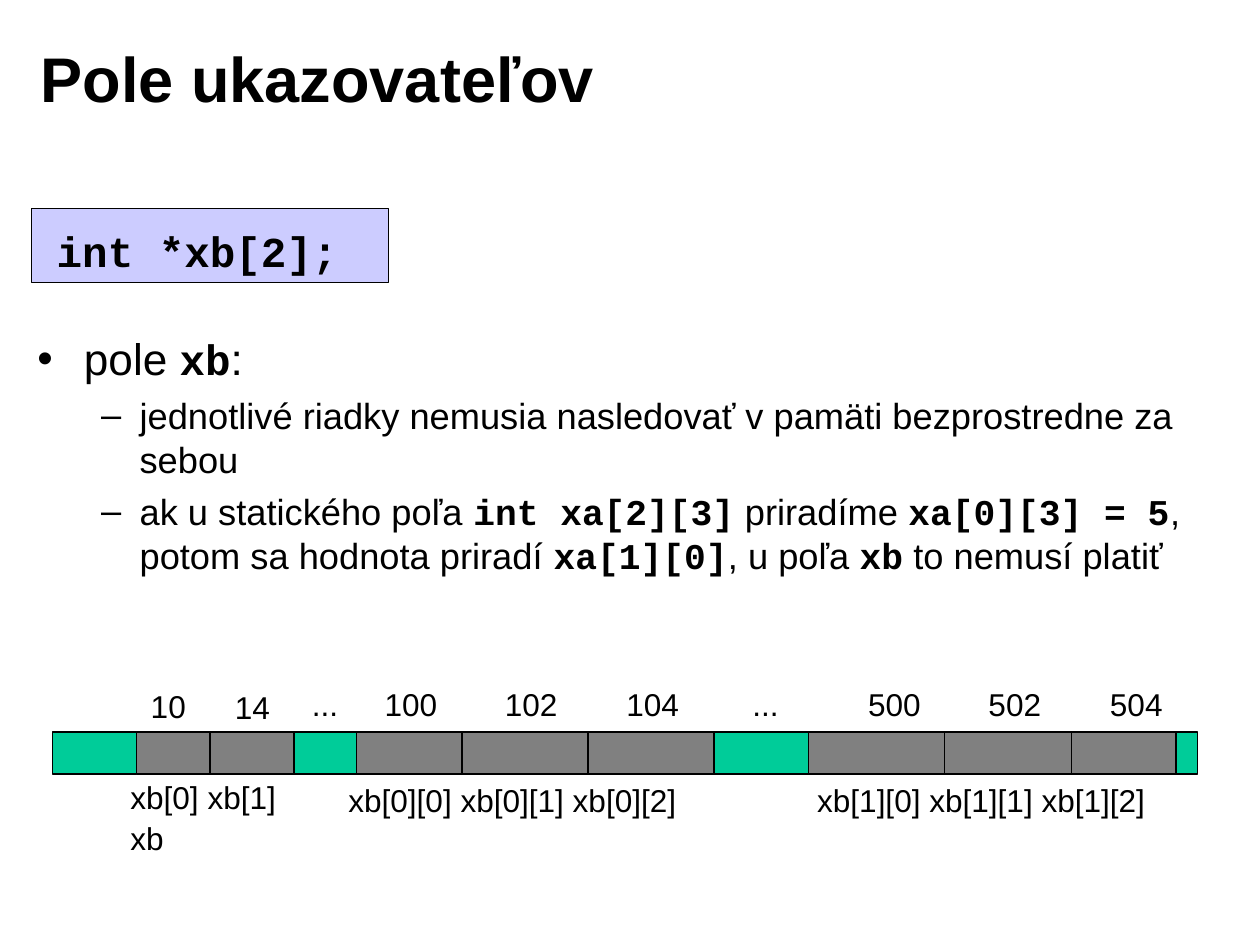
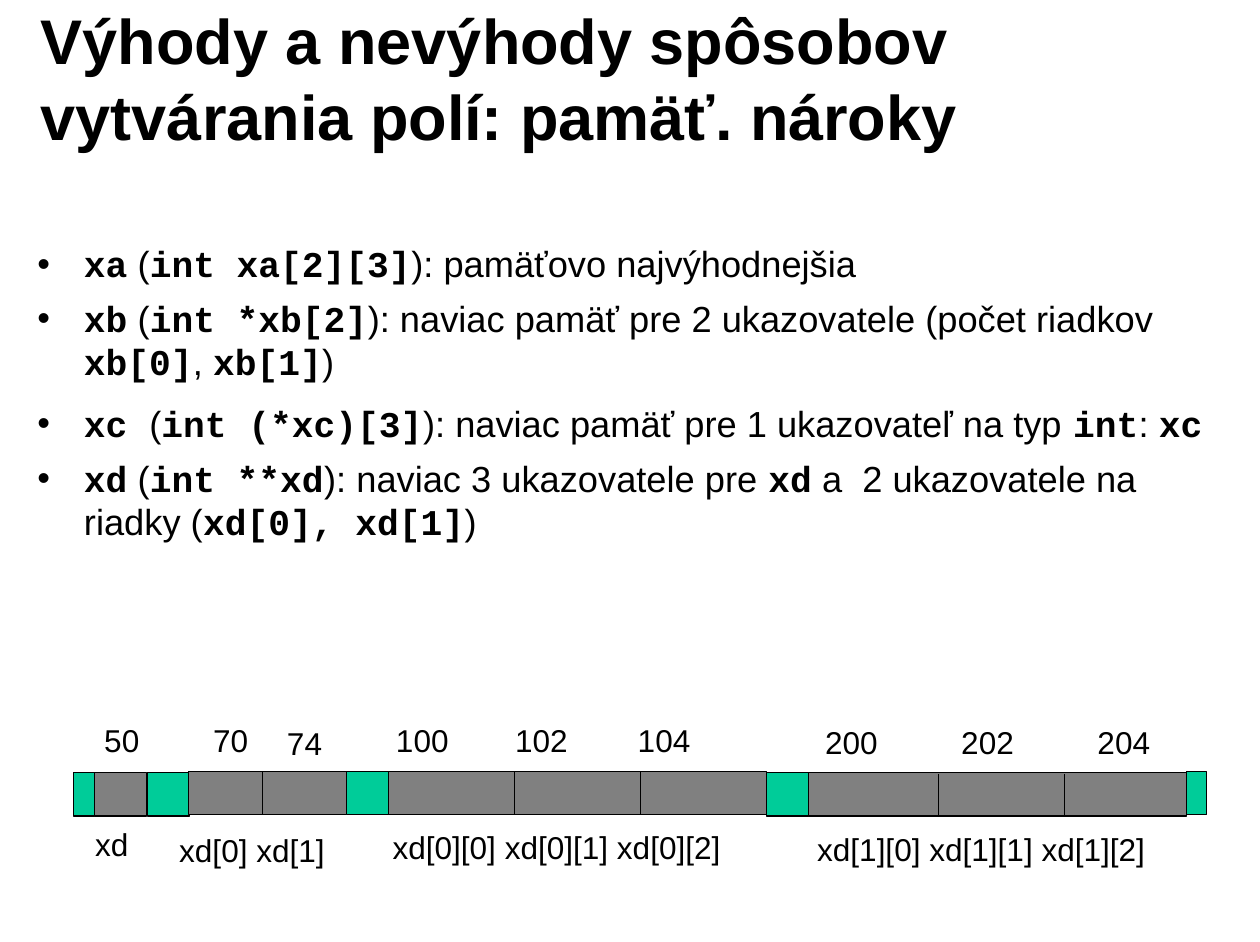
from lxml import etree
from pptx import Presentation
from pptx.dml.color import RGBColor
from pptx.enum.shapes import MSO_CONNECTOR, MSO_SHAPE
from pptx.enum.text import MSO_ANCHOR, MSO_AUTO_SIZE, PP_ALIGN
from pptx.oxml.ns import qn
from pptx.util import Inches, Pt

BLACK = RGBColor(0x00, 0x00, 0x00)
USED = RGBColor(0x80, 0x80, 0x80)
OTHER = RGBColor(0x00, 0xCC, 0x99)
CODE_FILL = RGBColor(0xCC, 0xCC, 0xFF)
TEXT_FONT, CODE_FONT = "Arial", "Courier New"
INDENTS = [(0.41, -0.41), (0.9, -0.34)]

# Backticks enclose code.
# Bullets: level, text size, code size, space before, text.
# Blocks of memory: left, top, width, fill. Dividers: x, top. Labels: by top.
SLIDES = [
    {
        "title": "Pole ukazovateľov",
        "code": "`int *xb[2];`",
        "body_top": 2.86,
        "body_height": 2.49,
        "bullets": [
            (0, 28, 27, 7, "pole `xb`:"),
            (1, 23, 23, 5.8,
             "jednotlivé riadky nemusia nasledovať v pamäti bezprostredne za sebou"),
            (1, 23, 23, 5.8,
             "ak u statického poľa `int xa[2][3]` priradíme `xa[0][3] = 5`, "
             "potom sa hodnota priradí `xa[1][0]`, u poľa `xb` to nemusí platiť"),
        ],
        "memory_height": 0.37,
        "blocks": [
            (1.2, 6.45, 9.25, USED),
            (0.46, 6.45, 0.74, OTHER),
            (2.59, 6.45, 0.55, OTHER),
            (6.29, 6.45, 0.83, OTHER),
            (10.36, 6.45, 0.19, OTHER),
        ],
        "dividers": [(x, 6.45) for x in (1.85, 4.07, 5.18, 8.32, 9.44)],
        "labels": {
            5.99: [("...", 2.65), ("100", 3.29), ("102", 4.35), ("104", 5.42), ("...", 6.53),
                   ("500", 7.55), ("502", 8.61), ("504", 9.68)],
            6.0: [("10", 1.23)],
            6.01: [("14", 1.97)],
            6.81: [("xb[0] xb[1]", 1.05)],
            6.83: [("xb[0][0] xb[0][1] xb[0][2]", 2.97), ("xb[1][0] xb[1][1] xb[1][2]", 7.1)],
            7.17: [("xb", 1.05)],
        },
    },
    {
        "title": "Výhody a nevýhody spôsobov vytvárania polí: pamäť. nároky",
        "body_top": 2.07,
        "body_height": 4.01,
        "bullets": [
            (0, 23, 23, 7, "`xa` (`int xa[2][3]`): pamäťovo najvýhodnejšia"),
            (0, 23, 23, 7, "`xb` (`int *xb[2]`): naviac pamäť pre 2 ukazovatele "
                           "(počet riadkov `xb[0]`, `xb[1]`)"),
            (0, 23, 23, 11.5, "`xc `(`int (*xc)[3]`): naviac pamäť pre 1 ukazovateľ "
                              "na typ `int`: `xc`"),
            (0, 23, 23, 7, "`xd` (`int **xd`): naviac 3 ukazovatele pre `xd` a  2 ukazovatele "
                           "na riadky (`xd[0], xd[1]`)"),
        ],
        "memory_height": 0.38,
        "blocks": [
            (3.42, 6.8, 3.33, USED),
            (10.45, 6.8, 0.18, OTHER),
            (0.65, 6.81, 0.18, OTHER),
            (0.83, 6.81, 0.46, USED),
            (1.3, 6.81, 0.37, OTHER),
            (1.66, 6.8, 1.39, USED),
            (3.05, 6.8, 0.37, OTHER),
            (6.75, 6.81, 0.37, OTHER),
            (7.12, 6.81, 3.33, USED),
        ],
        "dividers": [(2.31, 6.8), (4.53, 6.8), (5.64, 6.8), (8.27, 6.82), (9.38, 6.82)],
        "labels": {
            6.3: [("50", 0.82), ("70", 1.78), ("100", 3.39), ("102", 4.44), ("104", 5.52)],
            6.32: [("200", 7.17), ("202", 8.37), ("204", 9.57)],
            6.33: [("74", 2.43)],
            7.22: [("xd", 0.74)],
            7.25: [("xd[0][0] xd[0][1] xd[0][2]", 3.36)],
            7.26: [("xd[1][0] xd[1][1] xd[1][2]", 7.1)],
            7.27: [("xd[0] xd[1]", 1.48)],
        },
    },
]


def place(shape, left, top, width, height):
    shape.left, shape.top = Inches(left), Inches(top)
    shape.width, shape.height = Inches(width), Inches(height)


def set_frame(frame, side=0.11, edge=0.06, wrap=True, anchor=MSO_ANCHOR.TOP):
    frame.auto_size = MSO_AUTO_SIZE.NONE
    frame.word_wrap = wrap
    frame.vertical_anchor = anchor
    frame.margin_left = frame.margin_right = Inches(side)
    frame.margin_top = frame.margin_bottom = Inches(edge)


def write(para, text, size, code_size=None, bold=False, level=None, before=0):
    """Fill a paragraph, setting the parts between backticks as bold code."""
    para.alignment = PP_ALIGN.LEFT
    para.space_before = Pt(before)
    if level is not None:
        para.level = level
        margin, indent = INDENTS[level]
        properties = para._p.get_or_add_pPr()
        properties.set("marL", str(Inches(margin)))
        properties.set("indent", str(Inches(indent)))
    for index, part in enumerate(text.split("`")):
        if part:
            is_code = index % 2 == 1
            span = para.add_run()
            span.text = part
            span.font.name = CODE_FONT if is_code else TEXT_FONT
            span.font.size = Pt(code_size if is_code and code_size else size)
            span.font.bold = bold or is_code
            span.font.color.rgb = BLACK


def add_label(slide, text, left, top, width, height=0.44, size=20, side=0.1, edge=0.05):
    box = slide.shapes.add_textbox(Inches(left), Inches(top), Inches(width), Inches(height))
    set_frame(box.text_frame, side, edge, wrap=False)
    write(box.text_frame.paragraphs[0], text, size)


def set_outline(shape):
    shape.line.color.rgb = BLACK
    shape.line.width = Pt(0.75)


def add_rectangle(slide, left, top, width, height, fill):
    shape = slide.shapes.add_shape(
        MSO_SHAPE.RECTANGLE, Inches(left), Inches(top), Inches(width), Inches(height))
    shape.shadow.inherit = False
    shape.fill.solid()
    shape.fill.fore_color.rgb = fill
    set_outline(shape)


def add_divider(slide, x, top, height):
    divider = slide.shapes.add_connector(
        MSO_CONNECTOR.STRAIGHT, Inches(x), Inches(top), Inches(x), Inches(top + height))
    set_outline(divider)
    etree.SubElement(divider._element.spPr, qn("a:effectLst"))


def add_memory(slide, content):
    height = content["memory_height"]
    for left, top, width, fill in content["blocks"]:
        add_rectangle(slide, left, top, width, height, fill)
    for x, top in content["dividers"]:
        add_divider(slide, x, top, height)
    for top, labels in content["labels"].items():
        for text, left in labels:
            add_label(slide, text, left, top, width=0.2 + 0.12 * len(text))


def add_slide(deck, content):
    slide = deck.slides.add_slide(deck.slide_layouts[1])
    title, body = slide.shapes.title, slide.placeholders[1]
    place(title, 0.25, 0.17, 8.91, 1.02)
    set_frame(title.text_frame, anchor=MSO_ANCHOR.MIDDLE)
    write(title.text_frame.paragraphs[0], content["title"], 40, bold=True)

    place(body, 0.22, content["body_top"], 10.66, content["body_height"])
    frame = body.text_frame
    set_frame(frame)
    for index, (level, size, code_size, before, text) in enumerate(content["bullets"]):
        para = frame.add_paragraph() if index else frame.paragraphs[0]
        write(para, text, size, code_size, level=level, before=before)

    if "code" in content:
        add_rectangle(slide, 0.28, 1.84, 3.14, 0.65, CODE_FILL)
        add_label(slide, content["code"], 0.39, 1.92, 2.7, 0.56, size=27, side=0.11, edge=0.06)
    add_memory(slide, content)


def main():
    deck = Presentation()
    deck.slide_width, deck.slide_height = Inches(11.1), Inches(8.3)
    for content in SLIDES:
        add_slide(deck, content)
    deck.save("out.pptx")


if __name__ == "__main__":
    main()
